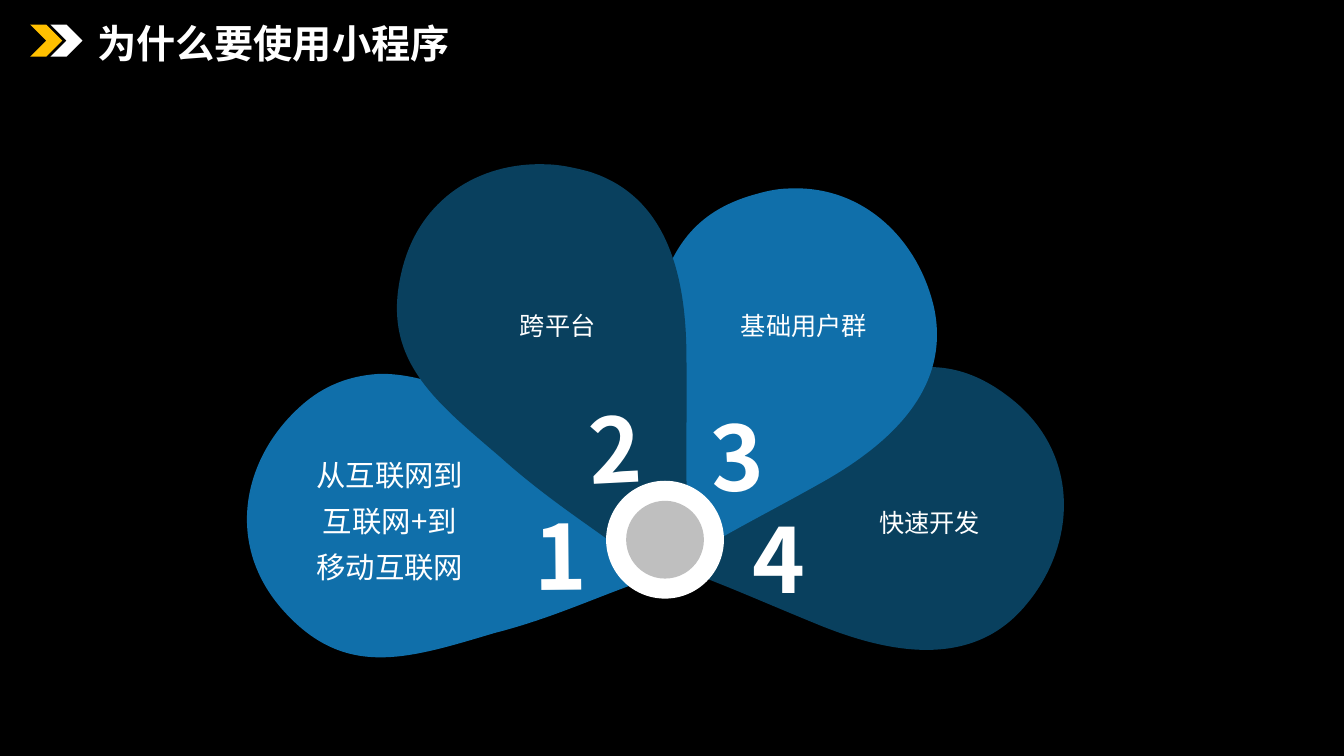
from dataclasses import dataclass
from typing import NamedTuple

from lxml.etree import SubElement
from pptx import Presentation
from pptx.dml.color import RGBColor
from pptx.enum.shapes import MSO_SHAPE
from pptx.enum.text import MSO_ANCHOR, MSO_AUTO_SIZE, PP_ALIGN
from pptx.oxml.ns import qn
from pptx.util import Cm, Pt


@dataclass(frozen=True)
class Theme:
    font: str = "Noto Sans CJK SC"
    black: str = "000000"
    white: str = "FFFFFF"
    gold: str = "FFC000"
    blue: str = "106FAA"
    navy: str = "09405E"
    grey: str = "BFBFBF"
    title: int = 28
    digit: int = 64
    label: int = 18
    body: int = 21


class Box(NamedTuple):
    left: float
    top: float
    width: float
    height: float

    def cm(self) -> list:
        return [Cm(side) for side in self]


class Style(NamedTuple):
    size: int
    bold: bool = False
    space: float = 1.0
    align: PP_ALIGN = PP_ALIGN.LEFT


class Petal(NamedTuple):
    color: str
    box: Box
    outer: list
    inner: list
    lines: tuple = ()


class Digit(NamedTuple):
    text: str
    left: float
    top: float
    turn: float


class Label(NamedTuple):
    text: str
    box: Box
    align: PP_ALIGN = PP_ALIGN.LEFT


THEME = Theme()
DIGIT_SIDE = 2.0
HUB = (16.76, 13.6)

PETALS = [
    Petal(THEME.blue, Box(6.22, 9.42, 9.88, 7.14),
          [(9.6, 9.42), (10.72, 9.42), (11.89, 9.96), (12.98, 10.67),
           (14.22, 11.46), (15.16, 12.14), (16.1, 12.67)],
          [(15.95, 14.73), (14.83, 15.14), (13.77, 15.62), (12.47, 15.95),
           (10.31, 16.59), (8.74, 17.12), (7.19, 15.44),
           (5.61, 13.74), (6.1, 11.46), (7.7, 10.13),
           (8.28, 9.65), (8.94, 9.45), (9.6, 9.42)],
          ("从互联网到", "互联网+到", "移动互联网")),
    Petal(THEME.navy, Box(16.89, 9.25, 9.91, 7.14),
          [(23.42, 9.25), (24.05, 9.25), (24.69, 9.45), (25.37, 9.96),
           (27.23, 11.33), (27.18, 13.67), (25.86, 15.24),
           (24.54, 16.84), (22.48, 16.51), (20.57, 15.72),
           (19.2, 15.16), (18.14, 14.68), (17.12, 14.33)],
          [(16.89, 12.27), (17.91, 11.66), (18.87, 11.0), (20.09, 10.44),
           (21.34, 9.78), (22.38, 9.22), (23.42, 9.25)]),
    Petal(THEME.blue, Box(15.6, 4.75, 8.0, 9.3),
          [(19.91, 4.75), (21.74, 4.67), (23.16, 6.02), (23.55, 7.8),
           (23.95, 9.83), (22.4, 11.23), (20.6, 12.22),
           (19.3, 12.95), (18.26, 13.46), (17.35, 14.05)],
          [(15.6, 12.93), (15.77, 11.79), (15.85, 10.62), (16.18, 9.3),
           (16.61, 7.09), (16.89, 5.46), (19.1, 4.88),
           (19.38, 4.8), (19.66, 4.75), (19.91, 4.75)]),
    Petal(THEME.navy, Box(10.01, 4.14, 7.34, 9.6),
          [(13.72, 4.14), (14.07, 4.14), (14.45, 4.22), (14.83, 4.32),
           (16.81, 4.93), (17.3, 6.93), (17.3, 9.02),
           (17.32, 10.52), (17.27, 11.66), (17.32, 12.73)],
          [(15.52, 13.74), (14.58, 13.06), (13.61, 12.42), (12.6, 11.51),
           (10.9, 10.06), (9.58, 9.02), (10.13, 6.81),
           (10.57, 5.0), (12.09, 4.09), (13.72, 4.14)]),
]

DIGITS = [
    Digit("3", 17.91, 10.62, 357),
    Digit("1", 13.46, 13.14, 359.5),
    Digit("2", 14.83, 10.43, 357),
    Digit("4", 18.97, 13.21, 0),
]

LABELS = [
    Label("基础用户群", Box(18.42, 7.47, 3.68, 1.24)),
    Label("跨平台", Box(12.85, 7.47, 2.41, 1.24), PP_ALIGN.CENTER),
    Label("快速开发", Box(21.91, 12.42, 3.05, 1.24)),
]


def paint(shape, color: str) -> None:
    shape.shadow.inherit = False
    shape.fill.solid()
    shape.fill.fore_color.rgb = RGBColor.from_string(color)
    shape.line.fill.background()


def write(frame, lines: tuple, style: Style) -> None:
    frame.text = "\n".join(lines)
    for para in frame.paragraphs:
        para.alignment = style.align
        para.line_spacing = style.space
        font = para.font
        font.size = Pt(style.size)
        font.bold = style.bold
        font.color.rgb = RGBColor.from_string(THEME.white)
        font.name = THEME.font
        props = para._p.get_or_add_pPr().get_or_add_defRPr()
        SubElement(props, qn("a:ea")).set("typeface", THEME.font)


def inset(frame, left: float, right: float) -> None:
    frame.margin_left, frame.margin_right = Cm(left), Cm(right)
    frame.margin_top = frame.margin_bottom = 0


def add_step(route, tag: str, points: list, box: Box) -> None:
    step = SubElement(route, qn(tag))
    for x, y in points:
        spot = SubElement(step, qn("a:pt"))
        spot.set("x", str(int(Cm(x - box.left))))
        spot.set("y", str(int(Cm(y - box.top))))


def bend(shape, petal: Petal) -> None:
    route = next(shape._element.iter(qn("a:path")))
    for step in list(route):
        route.remove(step)
    for tag, side in (("a:moveTo", petal.outer), ("a:lnTo", petal.inner)):
        add_step(route, tag, side[:1], petal.box)
        for i in range(1, len(side), 3):
            add_step(route, "a:cubicBezTo", side[i:i + 3], petal.box)
    SubElement(route, qn("a:close"))


def add_petal(shapes, petal: Petal) -> None:
    left, top, width, height = petal.box.cm()
    pen = shapes.build_freeform(left, top)
    pen.add_line_segments([(left + width, top + height)])
    shape = pen.convert_to_shape()
    bend(shape, petal)
    paint(shape, petal.color)
    if petal.lines:
        frame = shape.text_frame
        inset(frame, 0.25, 2.92)
        frame.word_wrap = True
        frame.vertical_anchor = MSO_ANCHOR.MIDDLE
        write(frame, petal.lines, Style(THEME.body, space=1.3, align=PP_ALIGN.CENTER))


def add_disc(shapes, size: float, color: str) -> None:
    box = Box(HUB[0] - size / 2, HUB[1] - size / 2, size, size)
    paint(shapes.add_shape(MSO_SHAPE.OVAL, *box.cm()), color)


def add_digit(shapes, digit: Digit) -> None:
    box = Box(digit.left, digit.top, DIGIT_SIDE, DIGIT_SIDE)
    shape = shapes.add_textbox(*box.cm())
    shape.rotation = digit.turn
    shape.text_frame.word_wrap = True
    inset(shape.text_frame, 0, 0)
    write(shape.text_frame, (digit.text,), Style(THEME.digit, True, 0.8))


def add_text(shapes, text: str, box: Box, style: Style) -> None:
    frame = shapes.add_textbox(*box.cm()).text_frame
    frame.word_wrap = False
    frame.auto_size = MSO_AUTO_SIZE.SHAPE_TO_FIT_TEXT
    write(frame, (text,), style)


def main() -> None:
    deck = Presentation()
    deck.slide_width, deck.slide_height = Cm(33.87), Cm(19.05)
    slide = deck.slides.add_slide(deck.slide_layouts[6])
    slide.background.fill.solid()
    slide.background.fill.fore_color.rgb = RGBColor.from_string(THEME.black)
    shapes = slide.shapes

    add_text(shapes, "为什么要使用小程序", Box(2.2, 0.36, 9.4, 1.45), Style(THEME.title, True))
    marks = shapes.add_group_shape().shapes
    for left, color in ((0.76, THEME.gold), (1.27, THEME.white)):
        paint(marks.add_shape(MSO_SHAPE.CHEVRON, *Box(left, 0.62, 0.81, 0.81).cm()), color)
    for petal in PETALS:
        add_petal(shapes, petal)
    for size, color in ((2.97, THEME.white), (1.96, THEME.grey)):
        add_disc(shapes, size, color)
    for digit in DIGITS:
        add_digit(shapes, digit)
    for label in LABELS:
        add_text(shapes, label.text, label.box, Style(THEME.label, space=1.3, align=label.align))
    deck.save("out.pptx")


if __name__ == "__main__":
    main()
